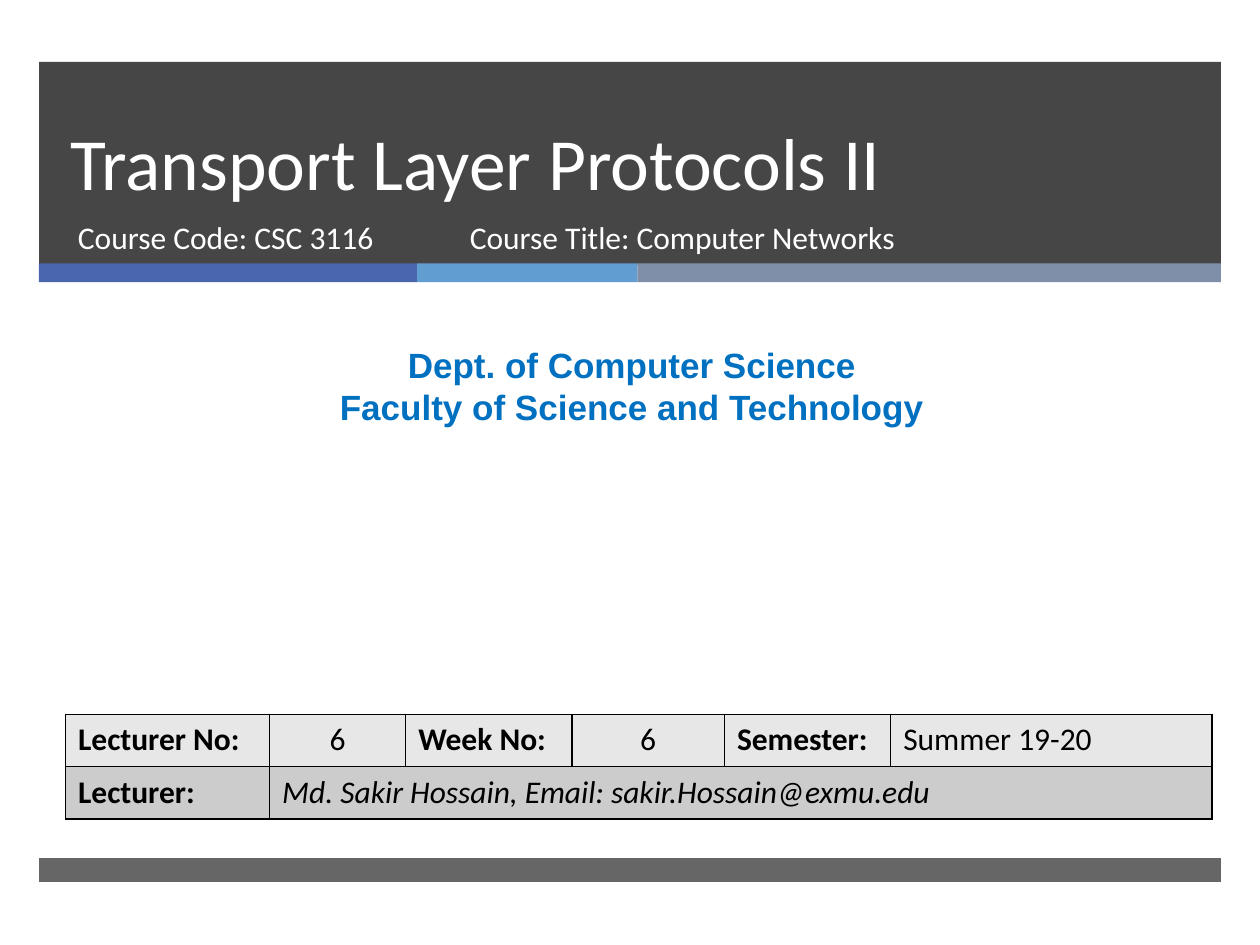
"""Build the opening slide of a computer networks lecture."""
from lxml.etree import SubElement
from pptx import Presentation
from pptx.dml.color import RGBColor
from pptx.enum.shapes import MSO_SHAPE
from pptx.enum.text import MSO_ANCHOR, PP_ALIGN
from pptx.oxml.ns import qn
from pptx.util import Inches, Pt

COLORS = {
    "dark": "262626", "blue": "4A66AC", "sky": "629DD1", "slate": "7F8FA9",
    "white": "FFFFFF", "black": "000000", "department": "0070C0",
    "first_row": "E7E7E7", "second_row": "CCCCCC",
}
LEFT, WIDTH = 0.31, 9.38
BANDS = [(0.49, 1.61, 85), (6.81, 0.19, 70)]
STRIPES = [("blue", 3), ("sky", 1.75), ("slate", 4.63)]
STRIPE_TOP, STRIPE_HEIGHT = 2.09, 0.15

TITLE = "Transport Layer Protocols II"
COURSE = [
    ("Course Code: CSC 3116", (0.52, 1.68, 3.05, 0.53)),
    ("Course Title: Computer Networks", (3.63, 1.68, 4.55, 0.53)),
]
DEPARTMENT = "Dept. of Computer Science\nFaculty of Science and Technology"
DETAILS = [
    ["Lecturer No:", "6", "Week No:", "6", "Semester:", "Summer 19-20"],
    ["Lecturer:", "Md. Sakir Hossain, Email: sakir.Hossain@exmu.edu"],
]
COLUMN_WIDTHS = [1.62, 1.08, 1.32, 1.21, 1.32, 2.55]
ROW_HEIGHT = 0.415


def color(name):
    return RGBColor.from_string(COLORS[name])


def add_bar(page, frame, fill, opacity=100):
    bar = page.shapes.add_shape(MSO_SHAPE.RECTANGLE, *map(Inches, frame))
    bar.shadow.inherit = False
    bar.line.fill.background()
    bar.fill.solid()
    bar.fill.fore_color.rgb = color(fill)
    if opacity < 100:
        hue = bar.fill._xPr.find(".//" + qn("a:srgbClr"))
        SubElement(hue, qn("a:alpha"), val=str(opacity * 1000))


def write(text_frame, text, size, ink, font="Calibri", bold=False, italic=False,
          align=PP_ALIGN.LEFT):
    text_frame.text = text
    for paragraph in text_frame.paragraphs:
        paragraph.alignment = align
        for span in paragraph.runs:
            span.font.name = font
            span.font.size = Pt(size)
            span.font.bold = bold
            span.font.italic = italic
            span.font.color.rgb = color(ink)


def add_text(page, frame, text, size, ink, **style):
    box = page.shapes.add_textbox(*map(Inches, frame))
    box.text_frame.word_wrap = True
    write(box.text_frame, text, size, ink, **style)
    return box.text_frame


def draw_borders(cell):
    properties = cell._tc.get_or_add_tcPr()
    for position, side in enumerate(("a:lnL", "a:lnR", "a:lnT", "a:lnB")):
        line = properties.makeelement(qn(side), {"w": str(Pt(1))})
        fill = SubElement(line, qn("a:solidFill"))
        SubElement(fill, qn("a:srgbClr"), val=COLORS["black"])
        properties.insert(position, line)


def add_details(page):
    frame = (0.52, 5.67, sum(COLUMN_WIDTHS), ROW_HEIGHT * len(DETAILS))
    table = page.shapes.add_table(
        len(DETAILS), len(COLUMN_WIDTHS), *map(Inches, frame)).table
    for column, width in zip(table.columns, COLUMN_WIDTHS):
        column.width = Inches(width)
    for row, fill in zip(table.rows, ("first_row", "second_row")):
        for cell in row.cells:
            cell.fill.solid()
            cell.fill.fore_color.rgb = color(fill)
            draw_borders(cell)
    table.cell(1, 1).merge(table.cell(1, len(COLUMN_WIDTHS) - 1))
    for row, texts in enumerate(DETAILS):
        for column, text in enumerate(texts):
            write(table.cell(row, column).text_frame, text, 18, "black",
                  bold=text.endswith(":"), italic="@" in text,
                  align=PP_ALIGN.CENTER if text.isdigit() else PP_ALIGN.LEFT)


def main():
    deck = Presentation()
    deck.slide_width, deck.slide_height = Inches(10), Inches(7.5)
    page = deck.slides.add_slide(deck.slide_layouts[6])

    for top, height, opacity in BANDS:
        add_bar(page, (LEFT, top, WIDTH, height), "dark", opacity)
    left = LEFT
    for fill, width in STRIPES:
        add_bar(page, (left, STRIPE_TOP, width, STRIPE_HEIGHT), fill)
        left += width

    title = add_text(page, (0.46, 0.49, 8.54, 1.19), TITLE, 42, "white")
    title.vertical_anchor = MSO_ANCHOR.BOTTOM
    title.paragraphs[0].line_spacing = Pt(46)
    for text, frame in COURSE:
        add_text(page, frame, text, 18, "white")
    add_text(page, (0.08, 2.68, 9.87, 0.77), DEPARTMENT, 20, "department",
             font="Arial", bold=True, align=PP_ALIGN.CENTER)
    add_details(page)
    deck.save("out.pptx")


if __name__ == "__main__":
    main()
